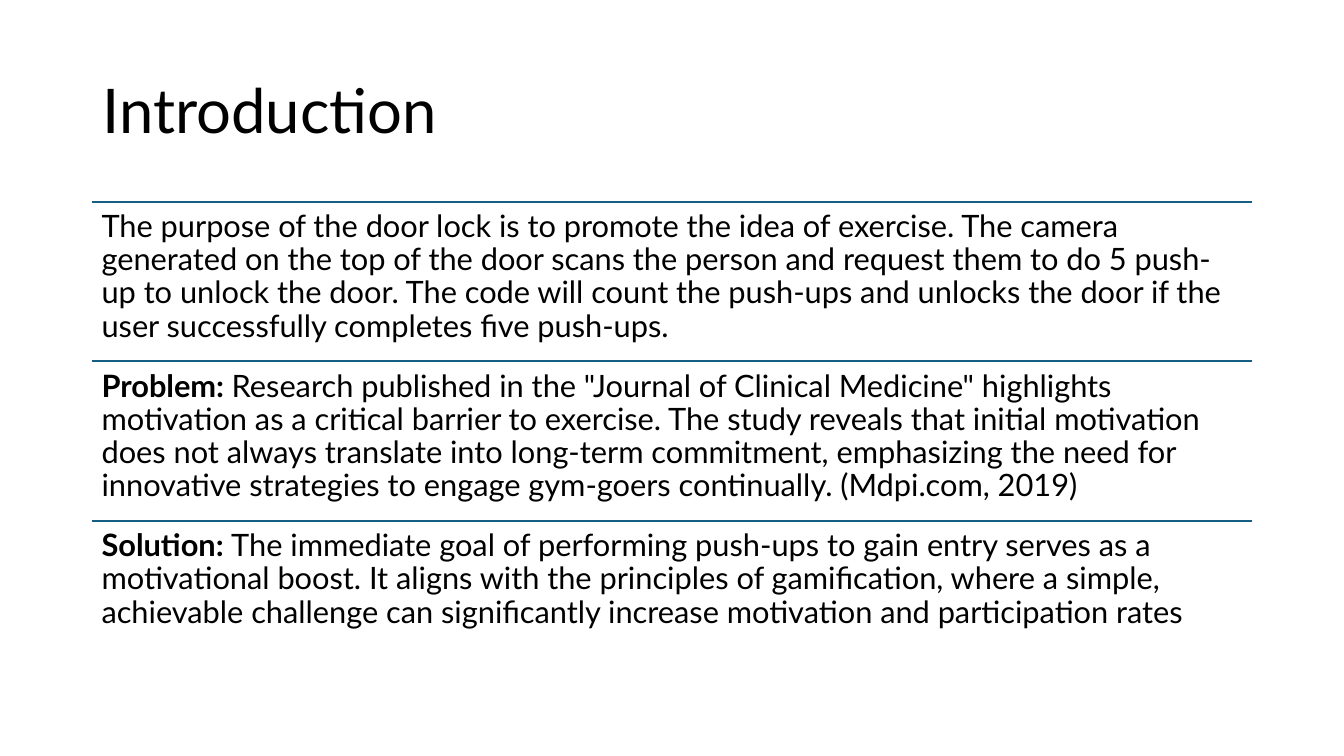
from dataclasses import dataclass

from lxml import etree
from pptx import Presentation
from pptx.dml.color import RGBColor
from pptx.enum import shapes, text
from pptx.oxml.ns import qn
from pptx.util import Pt


@dataclass(frozen=True)
class Theme:
    font: str = "Lato"
    ink: RGBColor = RGBColor(0x00, 0x00, 0x00)
    rule: RGBColor = RGBColor(0x15, 0x60, 0x82)
    title: int = 44
    body: int = 22


THEME = Theme()
LEFT, WIDTH = 66, 828
TOP, PITCH = 144, 114

POINTS = [
    ("", "The purpose of the door lock is to promote the idea of exercise. "
         "The camera generated on the top of the door scans the person and "
         "request them to do 5 push-up to unlock the door. The code will count "
         "the push-ups and unlocks the door if the user successfully completes "
         "five push-ups."),
    ("Problem: ", 'Research published in the "Journal of Clinical Medicine" '
                  "highlights motivation as a critical barrier to exercise. The "
                  "study reveals that initial motivation does not always "
                  "translate into long-term commitment, emphasizing the need for "
                  "innovative strategies to engage gym-goers continually. "
                  "(Mdpi.com, 2019)"),
    ("Solution: ", "The immediate goal of performing push-ups to gain entry "
                   "serves as a motivational boost. It aligns with the "
                   "principles of gamification, where a simple, achievable "
                   "challenge can significantly increase motivation and "
                   "participation rates"),
]


def apply(target, values):
    for name, value in values.items():
        setattr(target, name, value)


def add_run(para, words, size, bold=False):
    run = para.add_run()
    run.text = words
    apply(run.font, {"name": THEME.font, "size": Pt(size), "bold": bold})
    run.font.color.rgb = THEME.ink


def set_title(slide, words):
    title = slide.shapes.title
    apply(title, {"left": Pt(LEFT), "top": Pt(28.75),
                  "width": Pt(WIDTH), "height": Pt(104.4)})
    apply(title.text_frame, {"vertical_anchor": text.MSO_ANCHOR.MIDDLE,
                             "auto_size": text.MSO_AUTO_SIZE.NONE,
                             "word_wrap": True})
    para = title.text_frame.paragraphs[0]
    apply(para, {"alignment": text.PP_ALIGN.LEFT, "line_spacing": 0.9})
    add_run(para, words, THEME.title)


def add_rule(slide, top):
    rule = slide.shapes.add_connector(
        shapes.MSO_CONNECTOR.STRAIGHT,
        Pt(LEFT), Pt(top), Pt(LEFT + WIDTH), Pt(top))
    rule.line.width = Pt(1.5)
    rule.line.color.rgb = THEME.rule
    etree.SubElement(rule.element.spPr, qn("a:effectLst"))


def add_point(slide, top, label, words):
    """Add a text row with an optional bold lead-in."""
    box = slide.shapes.add_textbox(Pt(LEFT), Pt(top), Pt(WIDTH), Pt(PITCH))
    frame = box.text_frame
    apply(frame, {"word_wrap": True,
                  "vertical_anchor": text.MSO_ANCHOR.TOP})
    for side in ("left", "right", "top", "bottom"):
        setattr(frame, f"margin_{side}", Pt(6.6))
    para = frame.paragraphs[0]
    para.line_spacing = 0.9
    if label:
        add_run(para, label, THEME.body, bold=True)
    add_run(para, words, THEME.body)


def main():
    deck = Presentation()
    apply(deck, {"slide_width": Pt(960), "slide_height": Pt(540)})
    slide = deck.slides.add_slide(deck.slide_layouts.get_by_name("Title Only"))
    set_title(slide, "Introduction")
    for row, (label, words) in enumerate(POINTS):
        top = TOP + row * PITCH
        add_rule(slide, top)
        add_point(slide, top, label, words)
    deck.save("out.pptx")


if __name__ == "__main__":
    main()
